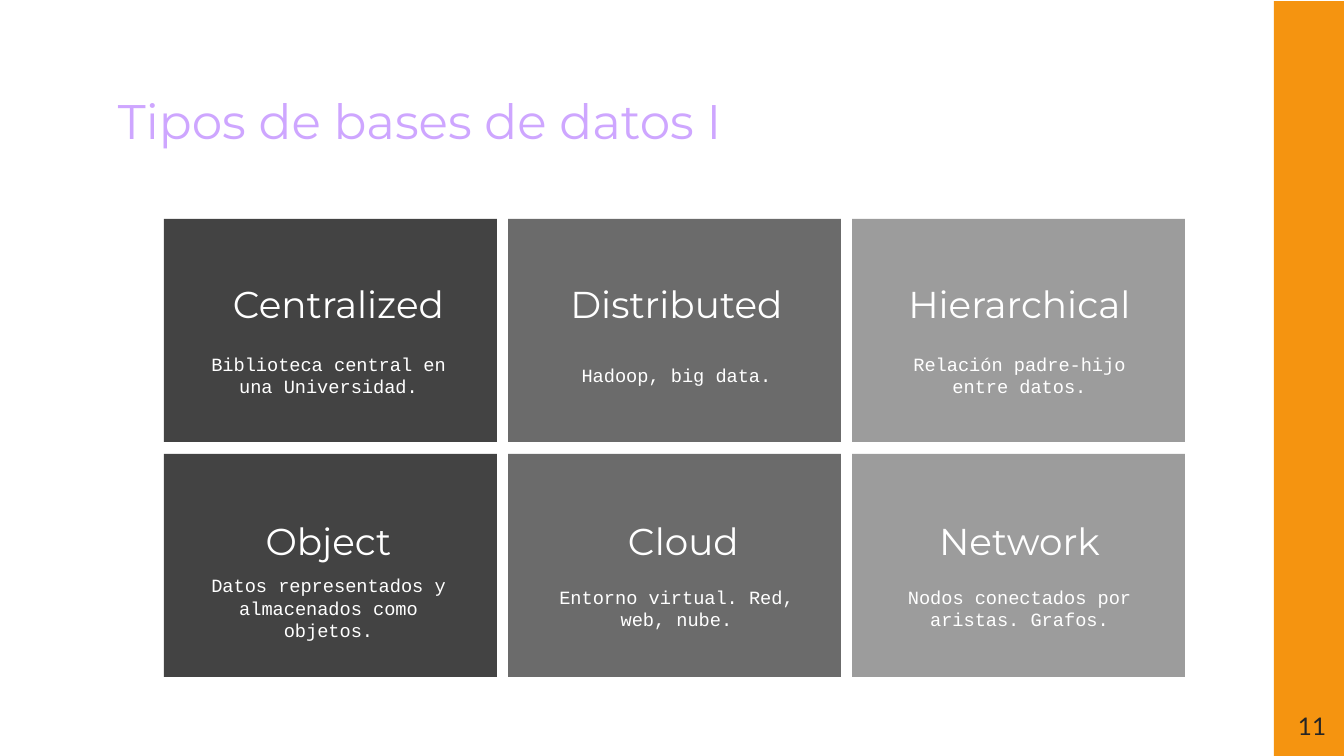
"""Build the slide on types of databases: a title over a grid of six cards."""
from pptx import Presentation
from pptx.dml.color import RGBColor
from pptx.enum.shapes import MSO_SHAPE as Shape
from pptx.enum.text import MSO_ANCHOR as Anchor, MSO_AUTO_SIZE as Fit, PP_ALIGN as Align
from pptx.util import Pt

TITLE = "Tipos de bases de datos I"
PAGE = "11"
FILLS = ["434343", "6B6B6B", "9C9C9C"]
NUDGES = [-2, 2, 1]
ROWS = [
    {"card": 219, "head": 274, "body": 336, "items": [
        ("Centralized", 8, 294, "Biblioteca central en una Universidad."),
        ("Distributed", 2, 274, "Hadoop, big data."),
        ("Hierarchical", 1, 274, "Relación padre-hijo entre datos."),
    ]},
    {"card": 454, "head": 511, "body": 569, "items": [
        ("Object", -2, 235, "Datos representados y almacenados como objetos."),
        ("Cloud", 9, 274, "Entorno virtual. Red, web, nube."),
        ("Network", 1, 233, "Nodos conectados por aristas. Grafos."),
    ]},
]
LEFT, STEP, CARD_W, CARD_H = 164, 344, 333, 223
HEAD_H, BODY_W, BODY_H = 59, 274, 78
INSET = 13
WHITE = "FFFFFF"
SCALE = 9144000 / 1344


def px(*sizes):
    return [round(size * SCALE) for size in sizes]


def color(code):
    return RGBColor.from_string(code)


def block(slide, box, fill):
    shape = slide.shapes.add_shape(Shape.RECTANGLE, *px(*box))
    shape.shadow.inherit = False
    shape.fill.solid()
    shape.fill.fore_color.rgb = color(fill)
    shape.line.fill.background()


def write(shape, text, font, size, ink, align=Align.CENTER, anchor=Anchor.MIDDLE, after=0):
    frame = shape.text_frame
    frame.text = text
    frame.word_wrap = True
    frame.auto_size = Fit.NONE
    frame.vertical_anchor = anchor
    inset = px(INSET)[0]
    frame.margin_left = frame.margin_right = inset
    frame.margin_top = frame.margin_bottom = inset
    para = frame.paragraphs[0]
    para.alignment = align
    para.space_after = Pt(after)
    run = para.runs[0].font
    run.name, run.size = font, Pt(size)
    run.color.rgb = color(ink)


def label(slide, box, *args, **style):
    write(slide.shapes.add_textbox(*px(*box)), *args, **style)


def main():
    deck = Presentation()
    deck.slide_width, deck.slide_height = px(1344, 756)
    slide = deck.slides.add_slide(deck.slide_layouts[5])

    title = slide.shapes.title
    title.left, title.top, title.width, title.height = px(105, 78, 1110, 78)
    write(title, TITLE, "Montserrat", 26, "CEA6FF", Align.LEFT, Anchor.TOP)

    block(slide, (1274, 1, 75, 755), "F59410")
    label(slide, (1258, 698, 81, 58), PAGE, "Lato", 13, "252525",
          align=Align.RIGHT, anchor=Anchor.TOP)

    for row in ROWS:
        for col, (head, shift, width, body) in enumerate(row["items"]):
            left = LEFT + col * STEP
            mid = left + CARD_W / 2
            block(slide, (left, row["card"], CARD_W, CARD_H), FILLS[col])
            label(slide, (mid + shift - width / 2, row["head"], width, HEAD_H),
                  head, "Montserrat", 20, WHITE, after=16)
            label(slide, (mid + NUDGES[col] - BODY_W / 2, row["body"], BODY_W, BODY_H),
                  body, "Courier New", 10, WHITE)

    deck.save("out.pptx")


if __name__ == "__main__":
    main()
